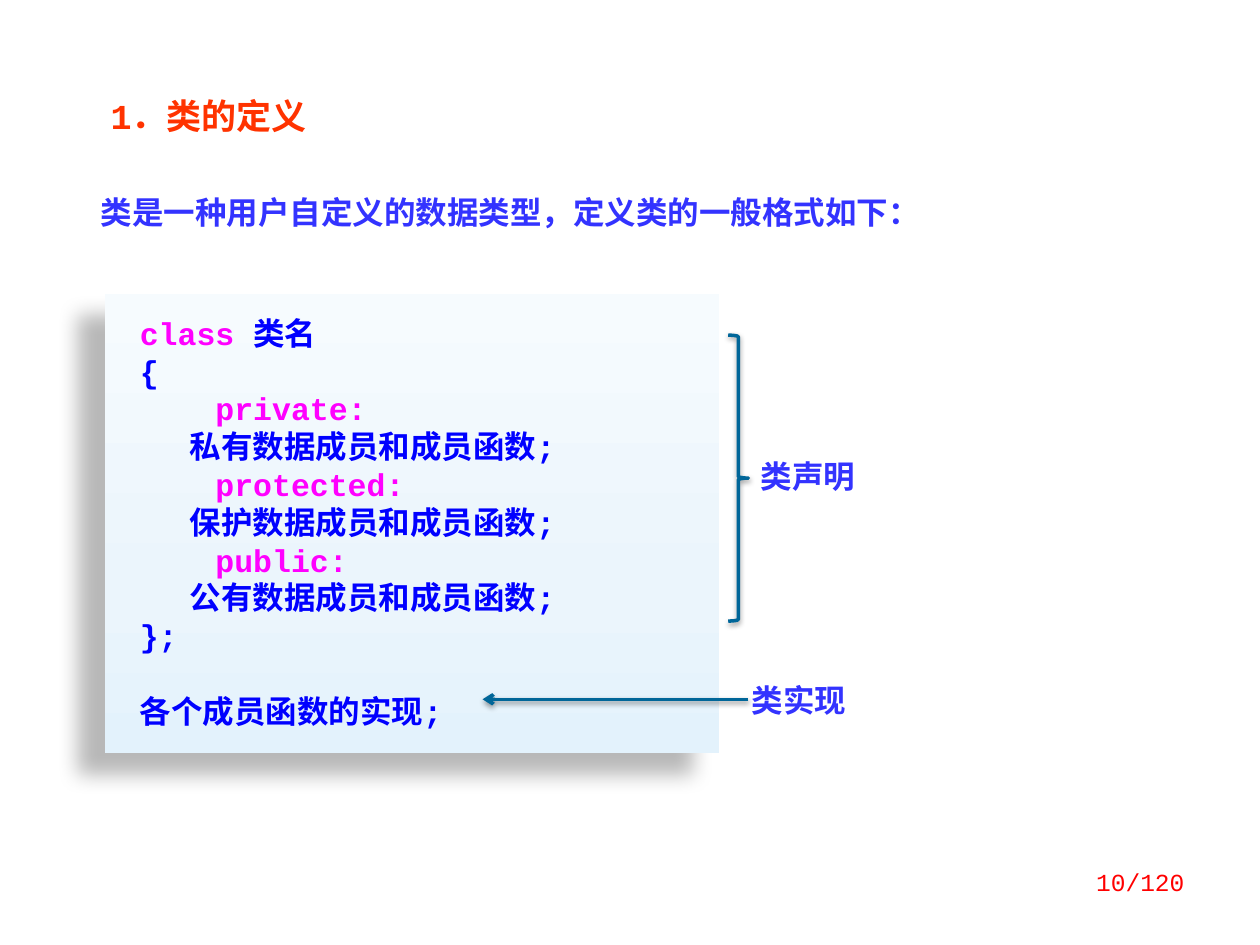
import copy

import pptx
import pptx.dml.color
import pptx.enum.shapes
import pptx.enum.text
import pptx.oxml
import pptx.oxml.ns
import pptx.util

RGBColor = pptx.dml.color.RGBColor
MSO_SHAPE = pptx.enum.shapes.MSO_SHAPE
PP_ALIGN = pptx.enum.text.PP_ALIGN
qn = pptx.oxml.ns.qn

BLUE = RGBColor(0x33, 0x33, 0xFF)
CODE_BLUE = RGBColor(0x00, 0x00, 0xFF)
MAGENTA = RGBColor(0xFF, 0x00, 0xFF)
ORANGE = RGBColor(0xFF, 0x33, 0x00)
RED = RGBColor(0xFF, 0x00, 0x00)
TEAL = RGBColor(0x00, 0x66, 0x99)
PANEL_STOPS = [
    (0, RGBColor(0xE3, 0xF2, 0xFC)),
    (0.35, RGBColor(0xEB, 0xF5, 0xFC)),
    (1, RGBColor(0xF6, 0xFB, 0xFE)),
]

PANEL_SHADOW = dict(alpha=28, blur=11.8, distance=19.7, angle=141)
LINE_SHADOW = dict(alpha=38, blur=3.1, distance=1.6, angle=90)

CODE = [
    [("class ", MAGENTA), ("类名", CODE_BLUE)],
    [("{", CODE_BLUE)],
    [("    ", CODE_BLUE), ("private:", MAGENTA)],
    [("       私有数据成员和成员函数;", CODE_BLUE)],
    [("    ", CODE_BLUE), ("protected:", MAGENTA)],
    [("       保护数据成员和成员函数;", CODE_BLUE)],
    [("    ", CODE_BLUE), ("public:", MAGENTA)],
    [("       公有数据成员和成员函数;", CODE_BLUE)],
    [("};", CODE_BLUE)],
    [("各个成员函数的实现;", CODE_BLUE)],
]


def add_text(paragraph, text, color=BLUE, size=18, bold=True, font="Courier New"):
    run = paragraph.add_run()
    run.text = text
    run.font.name = font
    run.font.size = pptx.util.Pt(size)
    run.font.bold = bold
    run.font.color.rgb = color


class SlideBuilder:
    columns, rows = 100, 75
    line_width = pptx.util.Pt(2)

    def __init__(self, presentation):
        self.cell_width = presentation.slide_width / self.columns
        self.cell_height = presentation.slide_height / self.rows
        self.slide = presentation.slides.add_slide(presentation.slide_layouts[6])

    def place(self, *lengths):
        cells = (self.cell_width, self.cell_height) * 2
        return [round(length * cell) for length, cell in zip(lengths, cells)]

    def label(self, area, text, align=PP_ALIGN.LEFT, **text_format):
        frame = self.slide.shapes.add_textbox(*self.place(*area)).text_frame
        frame.word_wrap = True
        frame.paragraphs[0].alignment = align
        add_text(frame.paragraphs[0], text, **text_format)

    def shadow(self, shape, alpha, blur, distance, angle):
        properties = shape.element.spPr
        effects = properties.find(qn("a:effectLst"))
        if effects is None:
            effects = properties.makeelement(qn("a:effectLst"), {})
            properties.append(effects)
        effects.append(pptx.oxml.parse_xml(
            f'<a:outerShdw {pptx.oxml.ns.nsdecls("a")} blurRad="{pptx.util.Pt(blur)}" '
            f'dist="{pptx.util.Pt(distance)}" dir="{angle * 60000}" rotWithShape="0">'
            f'<a:srgbClr val="000000"><a:alpha val="{alpha * 1000}"/></a:srgbClr>'
            '</a:outerShdw>'))

    def code_panel(self, area, lines):
        panel = self.slide.shapes.add_shape(MSO_SHAPE.RECTANGLE, *self.place(*area))
        panel.shadow.inherit = False
        panel.line.fill.background()
        panel.fill.gradient()
        panel.fill.gradient_angle = 90
        stop_list = panel.element.spPr.find(".//" + qn("a:gsLst"))
        stop_list.append(copy.deepcopy(stop_list[0]))
        for stop, (position, color) in zip(panel.fill.gradient_stops, PANEL_STOPS):
            stop.position = position
            stop.color.rgb = color
        self.shadow(panel, **PANEL_SHADOW)

        frame = panel.text_frame
        frame.word_wrap = True
        frame.vertical_anchor = pptx.enum.text.MSO_ANCHOR.TOP
        frame.margin_left = pptx.util.Inches(0.28)
        frame.margin_top = frame.margin_bottom = pptx.util.Inches(0.16)
        for number, line in enumerate(lines):
            paragraph = frame.add_paragraph() if number else frame.paragraphs[0]
            paragraph.alignment = PP_ALIGN.LEFT
            for text, color in line:
                add_text(paragraph, text, color=color)
        paragraph.line_spacing = 2.0

    def brace(self, area):
        brace = self.slide.shapes.add_shape(MSO_SHAPE.RIGHT_BRACE, *self.place(*area))
        brace.shadow.inherit = False
        brace.fill.background()
        self.outline(brace)

    def arrow(self, start, end):
        arrow = self.slide.shapes.add_connector(
            pptx.enum.shapes.MSO_CONNECTOR.STRAIGHT, *self.place(*start, *end))
        self.outline(arrow)
        line = arrow.element.spPr.find(qn("a:ln"))
        line.append(line.makeelement(qn("a:tailEnd"), {"type": "arrow"}))

    def outline(self, shape):
        shape.line.color.rgb = TEAL
        shape.line.width = self.line_width
        self.shadow(shape, **LINE_SHADOW)


def main():
    presentation = pptx.Presentation()
    presentation.slide_width = pptx.util.Inches(10)
    presentation.slide_height = pptx.util.Inches(7.5)
    builder = SlideBuilder(presentation)
    builder.label((7, 14.8, 78.9, 4), "类是一种用户自定义的数据类型，定义类的一般格式如下：")
    builder.code_panel((8.3, 23.3, 48.8, 36.5), CODE)
    builder.label((7.8, 7, 32.3, 4.4), "1．类的定义", color=ORANGE, size=20)
    builder.brace((57.8, 26.6, 1.6, 22.7))
    builder.label((59.4, 35.8, 11.7, 4), "类声明")
    builder.label((58.7, 53.6, 11.7, 4), "类实现")
    builder.arrow((59.4, 55.5), (38.3, 55.5))
    builder.label((71.7, 68.3, 23.3, 5), "10/120", align=PP_ALIGN.RIGHT,
                  color=RED, size=14, bold=False)
    presentation.save("out.pptx")


if __name__ == "__main__":
    main()
